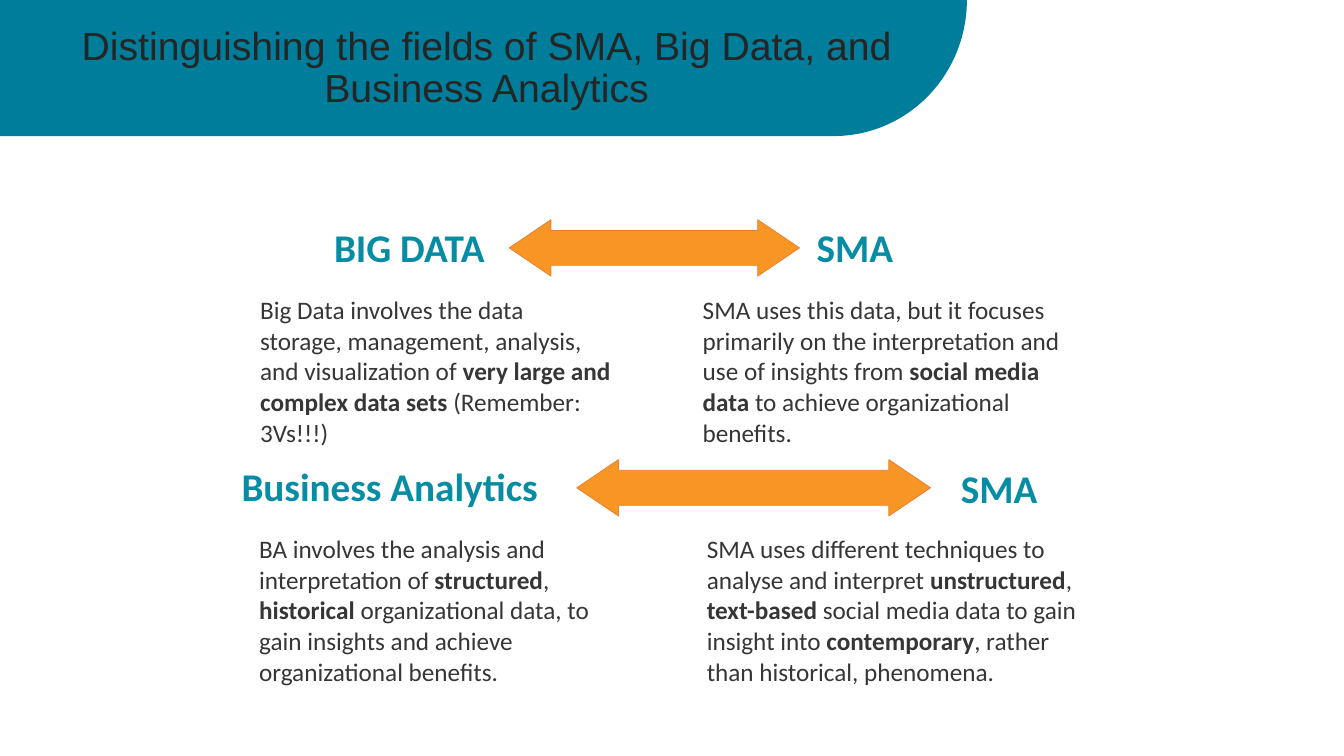
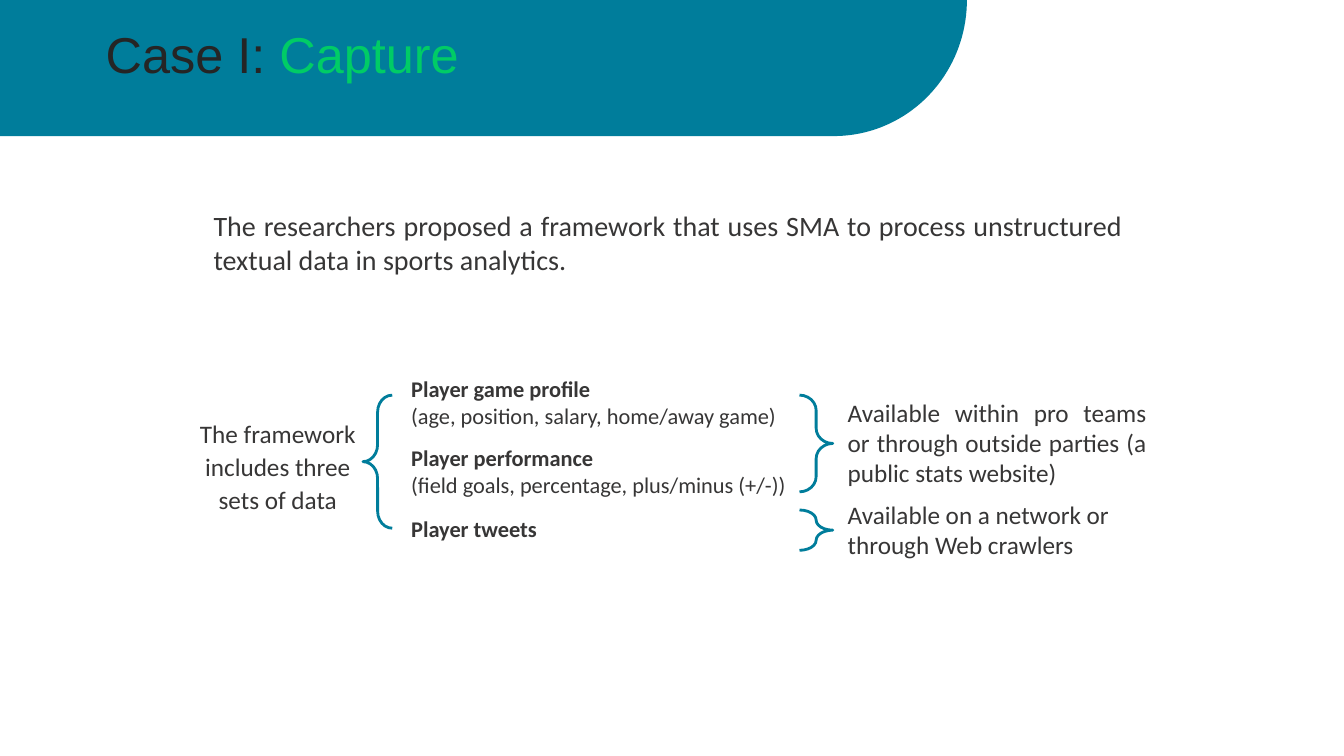
import math
from pptx import Presentation
from pptx.dml.color import RGBColor
from pptx.enum.shapes import MSO_SHAPE
from pptx.enum.text import PP_ALIGN
from pptx.util import Inches, Pt

LEFT, CENTER, JUSTIFY = PP_ALIGN.LEFT, PP_ALIGN.CENTER, PP_ALIGN.JUSTIFY
ARROW = MSO_SHAPE.LEFT_RIGHT_ARROW
LEFT_BRACE, RIGHT_BRACE = MSO_SHAPE.LEFT_BRACE, MSO_SHAPE.RIGHT_BRACE

HEX = {
    "band": "007D9B",
    "title": "252525",
    "accent": "00CC66",
    "heading": "068DA4",
    "body": "373636",
    "arrow": "F79625",
    "arrow_line": "ED7D31",
}
COLORS = {name: RGBColor.from_string(value) for name, value in HEX.items()}


def write(p, parts, size, color="body", font="Calibri", align=LEFT):
    p.alignment = align
    p.font.size = Pt(size)
    p.font.name = font
    p.font.color.rgb = COLORS[color]
    for i, text in enumerate(parts):
        r = p.add_run()
        r.text = text
        if i % 2:
            r.font.bold = True


def add_text(slide, box, parts, size, **style):
    tf = slide.shapes.add_textbox(*map(Inches, box)).text_frame
    tf.word_wrap = True
    write(tf.paragraphs[0], parts, size, **style)
    return tf


prs = Presentation()
prs.slide_width, prs.slide_height = Inches(13.33), Inches(7.5)

BAND_W, BAND_H, CORNER_W = 9.59, 1.35, 1.32
STEPS = 40
angles = [math.pi / 2 * i / STEPS for i in range(STEPS + 1)]
curve = [(Inches(BAND_W - CORNER_W + CORNER_W * math.cos(a)),
          Inches(BAND_H * math.sin(a))) for a in angles]

titles = [
    ((0.18, 0.26, 9.29, 1), ["Distinguishing the fields of SMA, Big Data, and Business Analytics"], 28),
    ((0.3, 0.3, 5, 0.7), ["Case I: ", "Capture"], 36),
]
slides = []
for box, parts, size in titles:
    slide = prs.slides.add_slide(prs.slide_layouts[6])
    builder = slide.shapes.build_freeform(0, 0)
    builder.add_line_segments(curve + [(0, Inches(BAND_H))], close=True)
    band = builder.convert_to_shape()
    band.shadow.inherit = False
    band.fill.solid()
    band.fill.fore_color.rgb = COLORS["band"]
    band.line.fill.background()
    tf = add_text(slide, box, parts, size, color="title", font="Arial", align=CENTER)
    tf.margin_left = tf.margin_top = tf.margin_right = tf.margin_bottom = 0
    p = tf.paragraphs[0]
    p.line_spacing = 0.9
    for r in p.runs[1:]:
        r.font.bold = False
        r.font.color.rgb = COLORS["accent"]
    slides.append(slide)

comparison, capture = slides

rows = [
    {
        "arrow": (5.05, 2.18, 2.88, 0.56),
        "headings": [("BIG DATA", (2.97, 2.17, 2.18, 0.57)), ("SMA", (7.93, 2.17, 1.1, 0.57))],
        "table": (2.48, 2.88, 8.34, 1.6),
        "cols": (3.68, 0.71, 3.95),
        "cells": [
            ["Big Data involves the data storage, management, analysis, and visualization of ",
             "very large and complex data sets", " (Remember: 3Vs!!!)"],
            [],
            ["SMA uses this data, but it focuses primarily on the interpretation and use of insights from ",
             "social media data ", "to achieve organizational benefits."],
        ],
    },
    {
        "arrow": (5.72, 4.56, 3.51, 0.56),
        "headings": [("Business Analytics", (2.01, 4.54, 3.71, 0.57)), ("SMA", (9.24, 4.56, 1.34, 0.57))],
        "table": (2.47, 5.25, 8.38, 1.6),
        "cols": (3.73, 0.71, 3.94),
        "cells": [
            ["BA involves the analysis and interpretation of ", "structured", ", ", "historical ",
             "organizational data, to gain insights and achieve organizational benefits."],
            [],
            ["SMA uses different techniques to analyse and interpret ", "unstructured", ", ", "text-based",
             " social media data to gain insight into ", "contemporary",
             ", rather than historical, phenomena."],
        ],
    },
]
for row in rows:
    sp = comparison.shapes.add_shape(ARROW, *map(Inches, row["arrow"]))
    sp.adjustments[0], sp.adjustments[1] = 0.62, 0.74
    sp.shadow.inherit = False
    sp.fill.solid()
    sp.fill.fore_color.rgb = COLORS["arrow"]
    sp.line.color.rgb = COLORS["arrow_line"]
    sp.line.width = Pt(0.5)
    for text, box in row["headings"]:
        tf = add_text(comparison, box, [text], 28, color="heading", align=CENTER)
        tf.paragraphs[0].font.bold = True
    table = comparison.shapes.add_table(1, 3, *map(Inches, row["table"])).table
    table.first_row = table.horz_banding = False
    for col, width, cell, parts in zip(table.columns, row["cols"], table.rows[0].cells, row["cells"]):
        col.width = Inches(width)
        cell.fill.background()
        write(cell.text_frame.paragraphs[0], parts, 18)

add_text(capture, (2.02, 2.02, 9.21, 0.8),
         ["The researchers proposed a framework that uses SMA to process unstructured "
          "textual data in sports analytics."], 20, align=JUSTIFY)

data_sets = [
    (3.67, "Player game profile", "(age, position, salary, home/away game)"),
    (4.36, "Player performance", "(field goals, percentage, plus/minus (+/-))"),
    (5.06, "Player tweets", None),
]
for top, name, details in data_sets:
    tf = add_text(capture, (3.98, top, 4.35, 0.64 if details else 0.37), [name], 16)
    tf.paragraphs[0].font.bold = True
    if details:
        write(tf.add_paragraph(), [details], 16)

braces = [
    (LEFT_BRACE, (3.6, 3.92, 0.29, 1.32), 0.58),
    (RIGHT_BRACE, (7.93, 3.92, 0.33, 0.96), 0.46),
    (RIGHT_BRACE, (7.93, 5.06, 0.33, 0.4), 0.46),
]
for kind, box, curl in braces:
    sp = capture.shapes.add_shape(kind, *map(Inches, box))
    sp.adjustments[0] = curl
    sp.shadow.inherit = False
    sp.fill.background()
    sp.line.color.rgb = COLORS["band"]
    sp.line.width = Pt(2)

tf = add_text(capture, (1.83, 4.07, 1.85, 1.1), ["The framework includes three sets of data"], 18, align=CENTER)
tf.paragraphs[0].line_spacing = 1.1
add_text(capture, (8.31, 3.89, 3.16, 1.01),
         ["Available within pro teams or through outside parties (a public stats website)"], 18, align=JUSTIFY)
add_text(capture, (8.31, 4.9, 3.07, 0.71), ["Available on a network or through Web crawlers"], 18)

prs.save("out.pptx")
